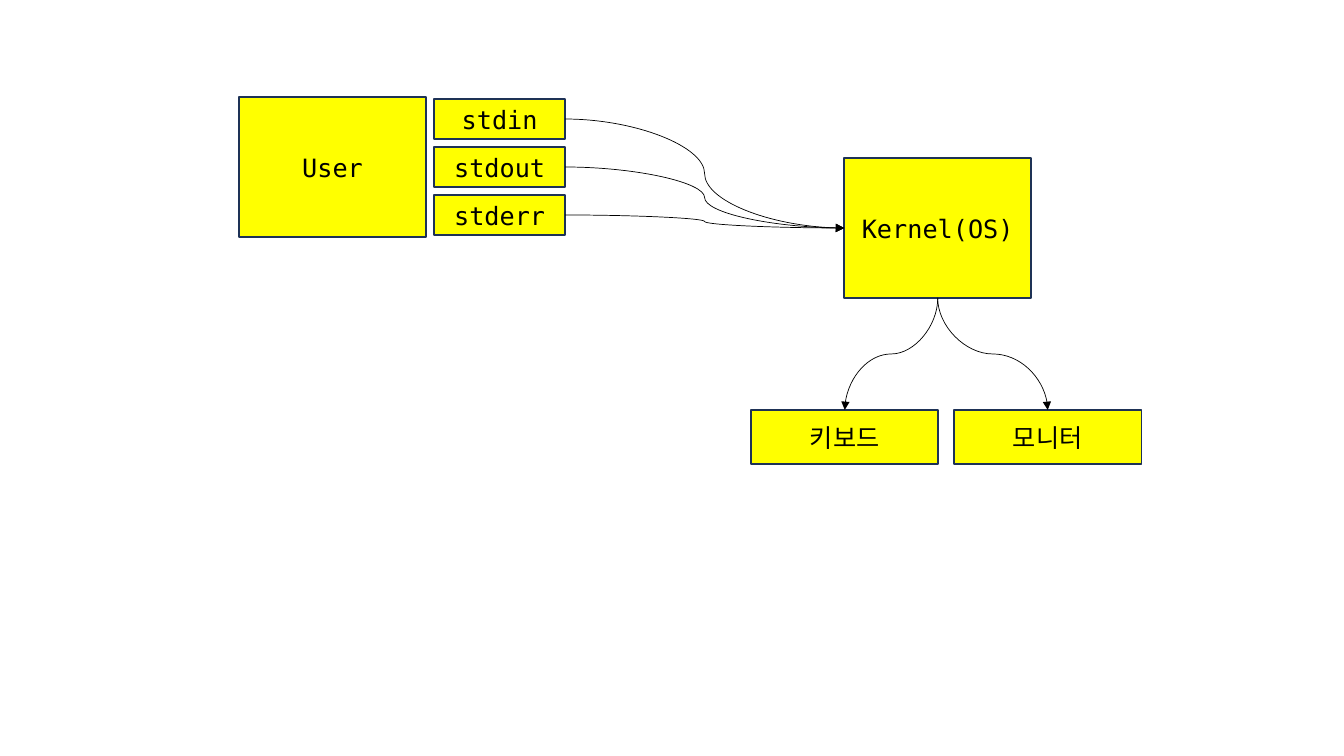
from dataclasses import dataclass

from lxml.etree import SubElement
from pptx import Presentation
from pptx.dml.color import RGBColor as Rgb
from pptx.enum.shapes import MSO_CONNECTOR as Conn, MSO_SHAPE as Form
from pptx.enum.text import MSO_ANCHOR as Anchor, PP_ALIGN as Align
from pptx.oxml.ns import qn
from pptx.shapes.autoshape import Shape
from pptx.shapes.connector import Connector
from pptx.util import Inches, Pt

PX = Inches(1) / 100.8
FONT = "DejaVu Sans Mono"
COLORS = {"box": "FFFF00", "edge": "1E3256", "ink": "000000"}
TOP, LEFT, BOTTOM, RIGHT = range(4)  # connection sites of a rectangle


@dataclass
class Box:
    text: str
    x: int
    y: int
    w: int
    h: int


def emu(px: int) -> int:
    return round(px * PX)


def color(name: str) -> Rgb:
    return Rgb.from_string(COLORS[name])


def draw_box(box: Box) -> Shape:
    shape = slide.shapes.add_shape(
        Form.RECTANGLE, emu(box.x), emu(box.y), emu(box.w), emu(box.h))
    shape.shadow.inherit = False
    shape.fill.solid()
    shape.fill.fore_color.rgb = color("box")
    shape.line.color.rgb = color("edge")
    shape.line.width = Pt(1)
    frame = shape.text_frame
    frame.text = box.text
    frame.vertical_anchor = Anchor.MIDDLE
    para = frame.paragraphs[0]
    para.alignment = Align.CENTER
    font = para.runs[0].font
    font.name, font.size = FONT, Pt(18)
    font.color.rgb = color("ink")
    return shape


def draw_curve(start: Shape, out: int, end: Shape, into: int) -> Connector:
    curve = slide.shapes.add_connector(Conn.CURVE, 0, 0, 0, 0)
    curve.begin_connect(start, out)
    curve.end_connect(end, into)
    curve.line.color.rgb = color("ink")
    curve.line.width = Pt(0.5)
    props = curve._element.spPr
    SubElement(props.find(qn("a:ln")), qn("a:tailEnd"), type="triangle")
    SubElement(props, qn("a:effectLst"))
    return curve


def turn_down(curve: Connector) -> None:
    """Turn a curve so that it leaves and arrives vertically."""
    west = curve.end_x < curve.begin_x
    wide, high = curve.width, curve.height
    mid_x, mid_y = curve.left + wide // 2, curve.top + high // 2
    curve.left, curve.top = mid_x - high // 2, mid_y - wide // 2
    curve.width, curve.height = high, wide
    frame = curve._element.spPr.find(qn("a:xfrm"))
    frame.set("rot", str((90 if west else 270) * 60000))
    frame.set("flipH", "0" if west else "1")


deck = Presentation()
deck.slide_width, deck.slide_height = Inches(13.33), Inches(7.5)
slide = deck.slides.add_slide(deck.slide_layouts[6])

# User, kernel and devices
draw_box(Box("User", 239, 97, 187, 140))
kernel = draw_box(Box("Kernel(OS)", 844, 158, 187, 140))
devices = [draw_box(Box(name, 751 + 203 * i, 410, 187, 54))
           for i, name in enumerate(("키보드", "모니터"))]

# Kernel to devices
for device in devices:
    turn_down(draw_curve(kernel, BOTTOM, device, TOP))

# Standard streams
streams = [draw_box(Box(name, 434, 99 + 48 * i, 131, 40))
           for i, name in enumerate(("stdin", "stdout", "stderr"))]

# Streams to kernel
for stream in streams:
    draw_curve(stream, RIGHT, kernel, LEFT)

deck.save("out.pptx")
